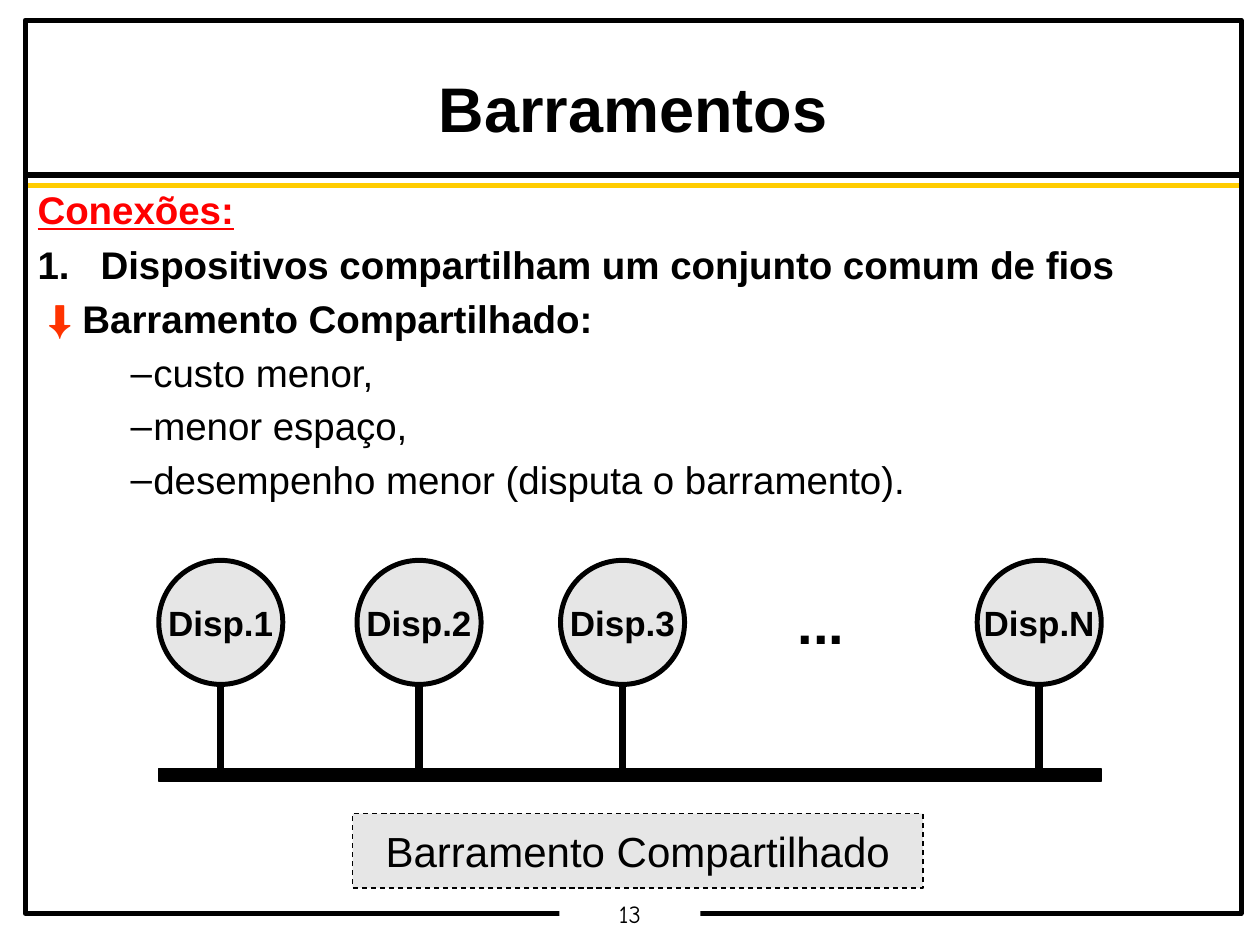
from dataclasses import dataclass

from lxml.etree import SubElement
from pptx import Presentation
from pptx.dml.color import RGBColor as Color
from pptx.enum.dml import MSO_LINE as Dash
from pptx.enum.shapes import MSO_CONNECTOR as Connector, MSO_SHAPE as Preset
from pptx.enum.text import MSO_ANCHOR as Anchor, PP_ALIGN as Align
from pptx.oxml.ns import qn
from pptx.util import Pt


@dataclass(frozen=True)
class Theme:
    black: str = "000000"
    white: str = "FFFFFF"
    gray: str = "E6E6E6"
    red: str = "FF0000"
    orange: str = "FF3300"
    yellow: str = "FFCC00"
    font: str = "Arial"
    number_font: str = "Comic Neue"
    title: float = 36
    body: float = 22
    device: float = 20
    ellipsis: float = 32
    caption: float = 24
    number: float = 14


THEME = Theme()


def add_run(paragraph, text, size, color=THEME.black, bold=False,
            underline=False, font=THEME.font):
    run = paragraph.add_run()
    run.text = text
    run.font.name = font
    run.font.size = Pt(size)
    run.font.bold = bold
    run.font.underline = underline
    run.font.color.rgb = Color.from_string(color)


def set_frame(shape, insets, anchor=Anchor.TOP, wrap=False):
    frame = shape.text_frame
    frame.word_wrap = wrap
    frame.vertical_anchor = anchor
    frame.margin_left = frame.margin_right = Pt(insets[0])
    frame.margin_top = frame.margin_bottom = Pt(insets[1])
    return frame


def add_box(slide, preset, box, fill=None, line=None, dash=None):
    """Add a preset shape; line is its width in points, always black."""
    shape = slide.shapes.add_shape(preset, *map(Pt, box))
    shape.shadow.inherit = False
    if fill:
        shape.fill.solid()
        shape.fill.fore_color.rgb = Color.from_string(fill)
    else:
        shape.fill.background()
    if line is None:
        shape.line.fill.background()
    else:
        shape.line.color.rgb = Color.from_string(THEME.black)
        shape.line.width = Pt(line)
        if dash:
            shape.line.dash_style = dash
    return shape


def add_label(shape, text, size, insets, anchor=Anchor.MIDDLE, wrap=False,
              spacing=1.0, **style):
    paragraph = set_frame(shape, insets, anchor, wrap).paragraphs[0]
    paragraph.alignment = Align.CENTER
    paragraph.line_spacing = spacing
    add_run(paragraph, text, size, **style)


def add_line(slide, start, end, color, width):
    line = slide.shapes.add_connector(
        Connector.STRAIGHT, *map(Pt, (*start, *end)))
    line.line.color.rgb = Color.from_string(color)
    line.line.width = Pt(width)
    SubElement(line._element.spPr, qn("a:effectLst"))
    return line


def format_item(paragraph, margin, indent, before, bullet=None):
    """Set spacing and hanging indent; bullet is an (element, attributes) pair."""
    paragraph.line_spacing = 0.9
    paragraph.space_before = Pt(before)
    properties = paragraph._p.get_or_add_pPr()
    properties.set("marL", str(Pt(margin)))
    properties.set("indent", str(Pt(indent)))
    if bullet:
        color = SubElement(properties, qn("a:buClr"))
        SubElement(color, qn("a:srgbClr"), val=THEME.black)
        SubElement(properties, qn("a:buFont"), typeface=THEME.font)
        SubElement(properties, qn(bullet[0]), **bullet[1])


def add_page_frame(slide):
    for y, color in ((100, THEME.black), (105.8, THEME.yellow)):
        add_line(slide, (14.4, y), (708.5, y), color, 3)
    add_box(slide, Preset.RECTANGLE, (14.4, 11.5, 694.8, 510.5), line=2.83)
    number = add_box(slide, Preset.RECTANGLE, (319.7, 513.4, 80.6, 19.4),
                     THEME.white)
    add_label(number, "13", THEME.number, (5, 2.2), Anchor.TOP, spacing=0.9,
              font=THEME.number_font)


def add_body(slide):
    box = slide.shapes.add_textbox(Pt(14.4), Pt(105.8), Pt(686.2), Pt(387.4))
    frame = set_frame(box, (7.2, 3.6), wrap=True)
    number = ("a:buAutoNum", {"type": "arabicPeriod"})
    dash = ("a:buChar", {"char": "–"})

    heading = frame.paragraphs[0]
    format_item(heading, 36, -36, 0)
    add_run(heading, "Conexões:", THEME.body, THEME.red, True, True)

    item = frame.add_paragraph()
    format_item(item, 36, -36, 7.5, number)
    add_run(item, "Dispositivos compartilham um conjunto comum de fios",
            THEME.body, bold=True)

    result = frame.add_paragraph()
    format_item(result, 36, -36, 7.5)
    add_run(result, " ⬇ ", THEME.body, THEME.orange, True)
    add_run(result, "Barramento Compartilhado:", THEME.body, bold=True)

    for text in ("custo menor,", "menor espaço,",
                 "desempenho menor (disputa o barramento)."):
        detail = frame.add_paragraph()
        detail.level = 1
        format_item(detail, 66.2, -13, 6.8, dash)
        add_run(detail, text, THEME.body)


def add_bus_diagram(slide):
    size, top, bus_top, bus_height = 70.9, 320.2, 439.4, 7.1
    devices = {"Disp.1": 90.7, "Disp.2": 204, "Disp.3": 320.3, "Disp.N": 558.4}
    insets = (8.6, 5)

    # Shared bus along all devices
    add_box(slide, Preset.RECTANGLE, (90.7, bus_top, 538.6, bus_height),
            THEME.black, 1.42)

    # Each device with its tap on the bus
    for name, left in devices.items():
        circle = add_box(slide, Preset.OVAL, (left, top, size, size),
                         THEME.gray, 2.83)
        add_label(circle, name, THEME.device, insets, bold=True)
        tap = add_box(slide, Preset.RECTANGLE,
                      (left, bus_top, size, bus_height), THEME.black, 1.42)
        center = left + size / 2
        wire = add_line(slide, (center, top + size), (center, bus_top),
                        THEME.black, 4.25)
        wire.end_connect(tap, 0)

    # Omitted devices
    gap = add_box(slide, Preset.OVAL, (433.7, top, size, size))
    add_label(gap, "...", THEME.ellipsis, insets, bold=True)

    # Caption
    caption = add_box(slide, Preset.RECTANGLE, (201.5, 464.9, 325.9, 42.5),
                      THEME.gray, 0, Dash.DASH)
    add_label(caption, "Barramento Compartilhado", THEME.caption, (7.2, 3.6))


def main():
    presentation = Presentation()
    presentation.slide_width, presentation.slide_height = Pt(720), Pt(540)
    slide = presentation.slides.add_slide(presentation.slide_layouts[6])

    add_page_frame(slide)
    add_body(slide)
    title = slide.shapes.add_textbox(Pt(14.4), Pt(41), Pt(694.8), Pt(45.4))
    add_label(title, "Barramentos", THEME.title, (5, 2.2), Anchor.TOP, True,
              0.95, bold=True)
    add_bus_diagram(slide)

    presentation.save("out.pptx")


if __name__ == "__main__":
    main()
